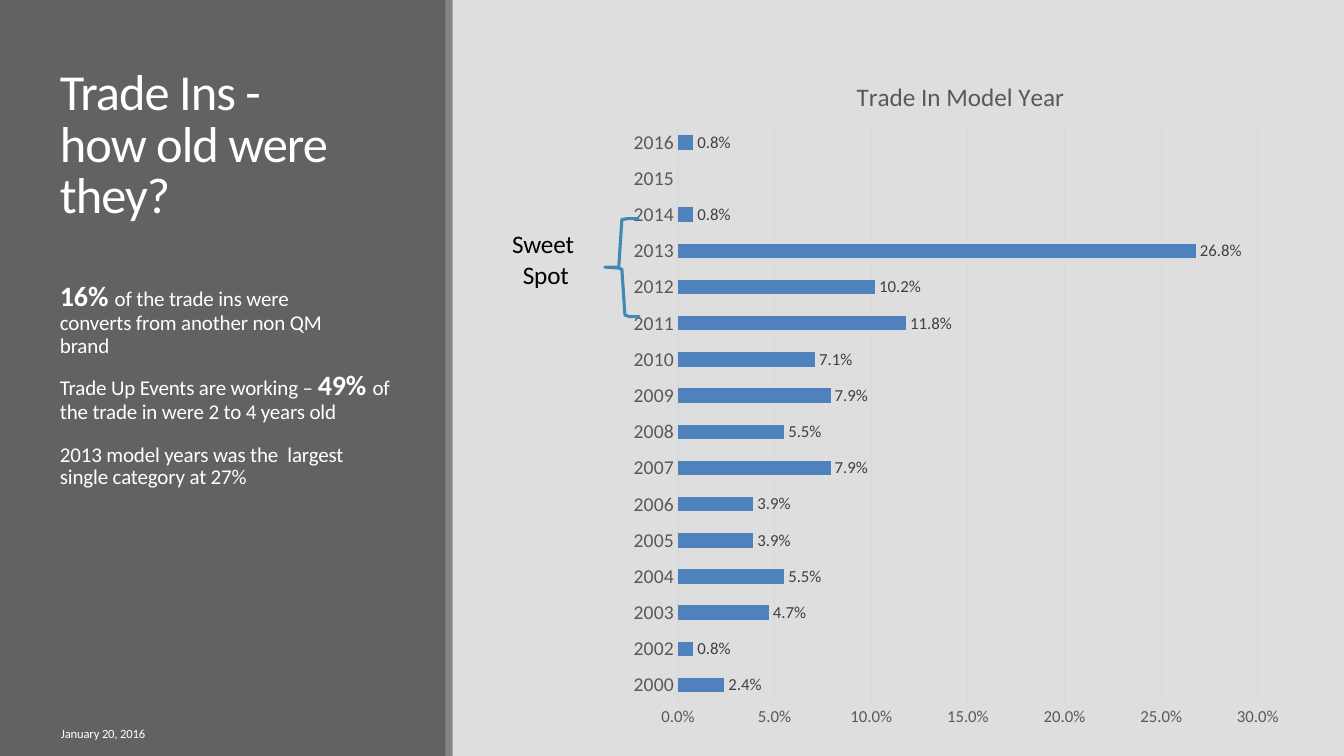
from pptx import Presentation
from pptx.chart.data import CategoryChartData as Data
from pptx.dml.color import RGBColor as Rgb
from pptx.enum.chart import XL_CHART_TYPE as Kind, XL_LABEL_POSITION as Spot, XL_TICK_MARK as Tick
from pptx.enum.shapes import MSO_SHAPE as Form
from pptx.enum.text import MSO_ANCHOR as Anchor, MSO_AUTO_SIZE as Auto, PP_ALIGN as Align
from pptx.oxml import parse_xml
from pptx.oxml.ns import nsdecls, qn
from pptx.util import Pt

HUES = {"pale": "DEDEDE", "dark": "626262", "edge": "848484", "white": "FFFFFF",
        "black": "000000", "axis": "595959", "label": "404040", "grid": "D9D9D9",
        "bar": "4F81BD", "brace": "418AB3"}
FRAME = dict(margin_left=0, margin_right=0, margin_top=0, margin_bottom=0,
             word_wrap=True, auto_size=Auto.NONE, vertical_anchor=Anchor.TOP)
YEARS = [2000, *range(2002, 2017)]
SHARES = [.024, .008, .047, .055, .039, .039, .079, .055,
          .079, .071, .118, .102, .268, .008, None, .008]
NOTES = [
    [("16% ", 20), ("of the trade ins were converts from another non QM brand", 15)],
    [("Trade Up Events are working – ", 15), ("49% ", 20),
     ("of the trade in were 2 to 4 years old", 15)],
    [("2013 model years was the  largest single category at 27%", 15)],
]


def hue(name):
    """Return the named colour."""
    return Rgb.from_string(HUES[name])


def put(item, **form):
    """Set each format value on the item."""
    for key, value in form.items():
        setattr(item, key, value)


def place(shape, box):
    """Move a shape to a box of left, top, width and height."""
    put(shape, **dict(zip(("left", "top", "width", "height"), map(Pt, box))))


def style(font, size, tint, bold=False):
    """Format a font."""
    put(font, name="Calibri", size=Pt(size), bold=bold)
    font.color.rgb = hue(tint)


def write(shape, paras, tint, track=-10, trim=0, **form):
    """Fill a shape with paragraphs made of (text, size) runs."""
    frame = shape.text_frame
    put(frame, **FRAME)
    for i, runs in enumerate(paras):
        para = frame.add_paragraph() if i else frame.paragraphs[0]
        props = para._p.get_or_add_pPr()
        put_xml = {"marL": 0, "indent": 0, "marR": 0 if i else Pt(trim)}
        for key, value in put_xml.items():
            props.set(key, str(value))
        props.append(parse_xml(f"<a:buNone {nsdecls('a')}/>"))
        put(para, **{"alignment": Align.LEFT, **form})
        if not i:
            para.space_before = Pt(0)
        for text, size in runs:
            run = para.add_run()
            run.text = text
            style(run.font, size, tint, size == 20)
            run._r.get_or_add_rPr().set("spc", str(track))


def panels(slide, box):
    """Lay the dark side, its edge and the pale field behind the text."""
    left, top, width, high = box
    tree = slide.shapes.element
    cuts = [(323.3, width, "pale"), (0, 319, "dark"), (318.2, 323.3, "edge")]
    for i, (start, end, tint) in enumerate(cuts):
        part = slide.shapes.add_shape(Form.RECTANGLE, 0, 0, 0, 0)
        place(part, (left + start, top, end - start, high))
        part.shadow.inherit = False
        part.fill.solid()
        part.fill.fore_color.rgb = hue(tint)
        part.line.fill.background()
        tree.insert(2 + i, part.element)


def side(slide, box):
    """Set the title, the notes and the date in the dark side."""
    left, top, width, high = box
    title, body = slide.placeholders
    date = slide.shapes.add_textbox(0, 0, 0, 0)
    place(title, (left, top, 214, 112))
    place(body, (left, top + 157, width, 142))
    place(date, (left + .7, top + high - 11, 76, 11))
    write(title, [[("Trade Ins - how old were they?", 36)]], "white",
          track=-70, trim=8, line_spacing=Pt(36.7))
    write(body, NOTES, "white", trim=22, line_spacing=Pt(16.2), space_before=Pt(14.6))
    write(date, [[("January 20, 2016", 9)]], "white")


def fix(host, index, **spots):
    """Give a chart part a fixed layout."""
    for old in host.findall(qn("c:layout")):
        host.remove(old)
    modes = "".join(f'<c:{key}Mode val="edge"/>' for key in "xy")
    sizes = "".join(f'<c:{key} val="{value}"/>' for key, value in spots.items())
    inner = '<c:layoutTarget val="inner"/>' if "w" in spots else ""
    host.insert(index, parse_xml(
        f"<c:layout {nsdecls('c')}><c:manualLayout>{inner}{modes}{sizes}"
        "</c:manualLayout></c:layout>"))


def graph(slide, box):
    """Draw the bars of trade ins by model year."""
    data = Data(number_format="0.0%")
    data.categories = [str(year) for year in YEARS]
    data.add_series("Series 1", SHARES)
    chart = slide.shapes.add_chart(Kind.BAR_CLUSTERED, *map(Pt, box), data).chart
    style(chart.font, 10, "black")
    put(chart, has_legend=False, has_title=True)
    title = chart.chart_title
    title.text_frame.text = "Trade In Model Year"
    style(title.text_frame.paragraphs[0].runs[0].font, 18, "axis")
    fix(title.element, 1, x=.344, y=.035)
    fix(chart.element.find(".//" + qn("c:plotArea")), 0, x=.085, y=.107, w=.863, h=.839)

    years, rates = chart.category_axis, chart.value_axis
    for axis, size in ((years, 14), (rates, 12)):
        put(axis, major_tick_mark=Tick.NONE, minor_tick_mark=Tick.NONE)
        axis.format.line.fill.background()
        style(axis.tick_labels.font, size, "axis")
    years.has_major_gridlines = False
    put(rates, minimum_scale=0, maximum_scale=.3, major_unit=.05, has_major_gridlines=True)
    put(rates.tick_labels, number_format="0.0%", number_format_is_linked=False)
    grid = rates.major_gridlines.format.line
    grid.color.rgb = hue("grid")
    grid.width = Pt(.75)

    plot = chart.plots[0]
    put(plot, gap_width=150, vary_by_categories=False, has_data_labels=True)
    fill = plot.series[0].format.fill
    fill.solid()
    fill.fore_color.rgb = hue("bar")
    labels = plot.data_labels
    put(labels, show_value=True, position=Spot.OUTSIDE_END,
        number_format="0.0%", number_format_is_linked=False)
    style(labels.font, 12, "label")


def sweet(slide, box):
    """Name the sweet spot and brace its years."""
    left, top, width, high = box
    name = slide.shapes.add_textbox(0, 0, 0, 0)
    place(name, (left, top + 7.2, 84.2, 44))
    write(name, [[("Sweet ", 18)], [("Spot", 18)]], "black", alignment=Align.CENTER)
    bend = [(25.2, 70), (18, 70), (14.4, 69), (12.2, 36), (9, 35.2), (0, 34.6),
            (10, 34.6), (12.2, .7), (16, 0), (24.5, 0)]
    start = left + width - 25.2
    dots = [(Pt(start + x), Pt(top + y * high / 70)) for x, y in bend]
    pen = slide.shapes.build_freeform(*dots[0])
    pen.add_line_segments(dots[1:], close=False)
    brace = pen.convert_to_shape()
    brace.shadow.inherit = False
    brace.fill.background()
    brace.line.color.rgb = hue("brace")
    brace.line.width = Pt(2.25)


def main():
    """Build and save the deck."""
    deck = Presentation()
    put(deck, slide_width=Pt(960), slide_height=Pt(540))
    slide = deck.slides.add_slide(deck.slide_layouts[1])
    panels(slide, (0, 0, 960, 540))
    graph(slide, (443.5, 36, 480, 493))
    side(slide, (42.8, 49.7, 237.6, 479.7))
    sweet(slide, (347.8, 156.2, 109.4, 70))
    deck.save("out.pptx")


if __name__ == "__main__":
    main()
